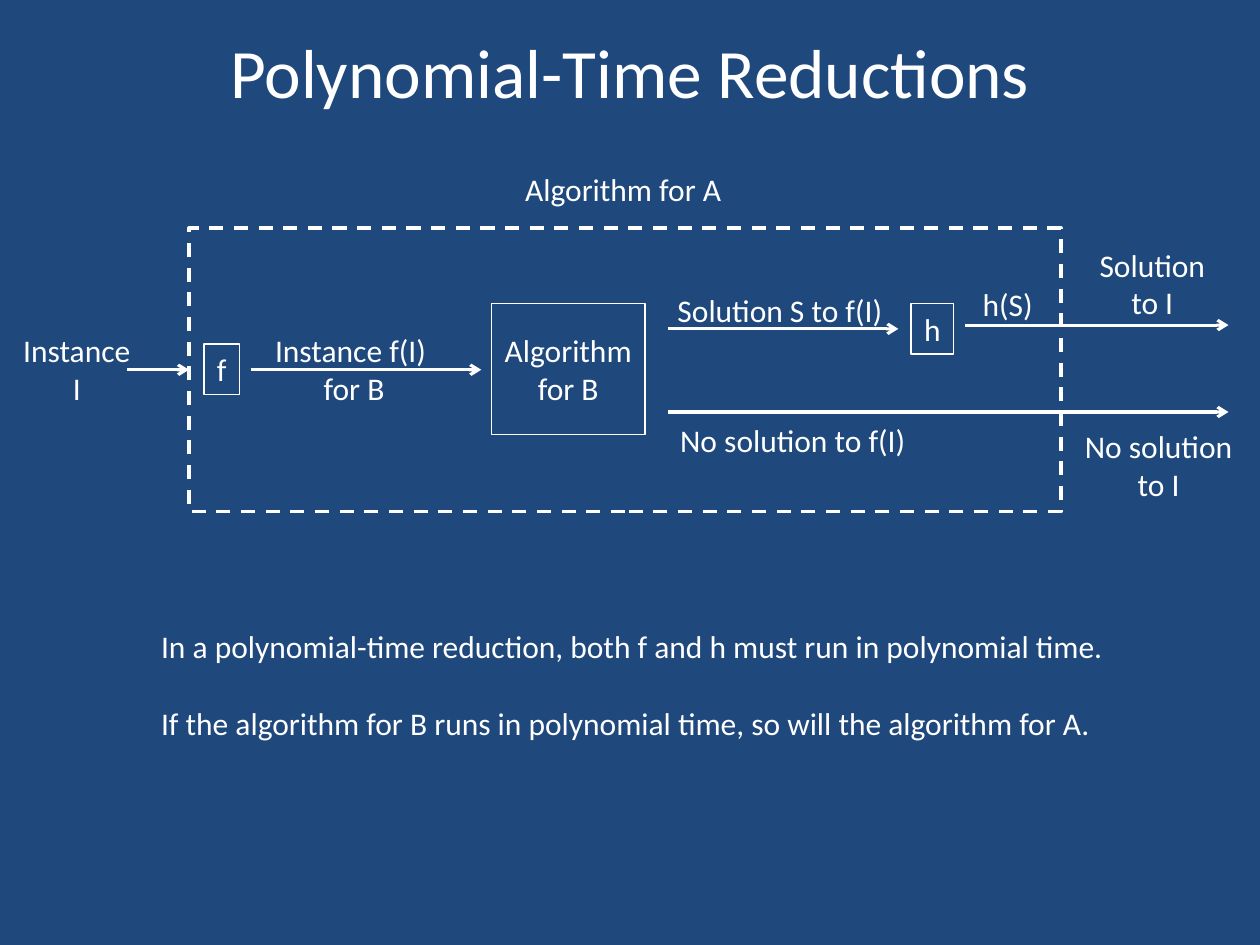
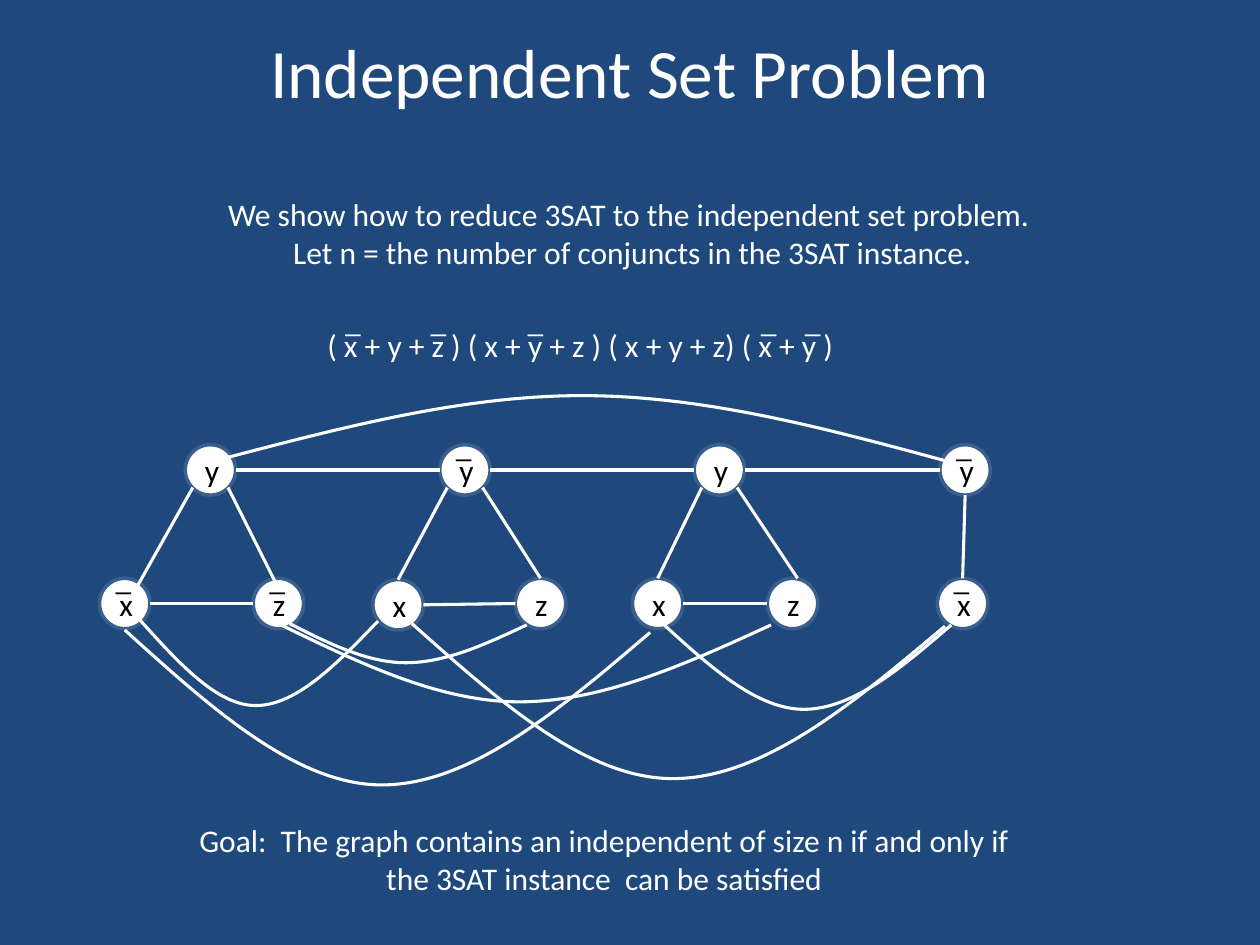
from dataclasses import dataclass
from itertools import pairwise

from lxml.etree import SubElement
from pptx import Presentation
from pptx.dml.color import RGBColor
from pptx.enum.dml import MSO_LINE
from pptx.enum.shapes import MSO_CONNECTOR, MSO_SHAPE
from pptx.enum.text import MSO_ANCHOR as Anchor, PP_ALIGN as Align
from pptx.oxml.ns import qn
from pptx.util import Inches, Pt

NAVY, WHITE, BLACK, RIM = "1F497D", "FFFFFF", "000000", "3A5F8C"
FONT = "Calibri"
BODY_SIZE = 18
TITLE_SIZE = 39.6
LINE_WIDTH = 1.75
TITLE_ONLY = 5
NODE_RADIUS = 0.2
UPPER_Y, LOWER_Y = 3.73, 4.79


@dataclass(frozen=True)
class Label:
    text: str
    left: float
    top: float
    width: float
    height: float
    align: Align = Align.CENTER
    wrap: bool = False
    gap: float = 0


@dataclass(frozen=True)
class Box:
    text: str
    left: float
    top: float
    width: float
    height: float
    anchor: Anchor = Anchor.TOP


@dataclass(frozen=True)
class Arrow:
    start: float
    end: float
    y: float
    head: bool = True


@dataclass(frozen=True)
class Node:
    literal: str
    x: float
    y: float
    negated: bool = False


@dataclass(frozen=True)
class Arc:
    start: tuple[float, float]
    turn: tuple[float, float]
    end: tuple[float, float]


ALGORITHM_A = Box("", 1.5, 1.81, 6.92, 2.25)
INSTANCE_Y = ALGORITHM_A.top + ALGORITHM_A.height / 2
STEP_LABELS = [
    Label("Instance f(I) \nfor B", 1.92, 2.58, 1.78, 0.71, wrap=True),
    Label("Solution S to f(I)", 5.24, 2.26, 1.9, 0.71, wrap=True),
    Label("Instance\nI", 0.08, 2.58, 1.06, 0.71),
    Label("Solution\nto I", 8.62, 1.9, 1.05, 0.71),
    Label("No solution\vto I", 8.5, 3.34, 1.39, 0.71),
    Label("Algorithm for A", 4.07, 1.3, 1.77, 0.4, Align.LEFT),
    Label("No solution to f(I)", 5.3, 3.29, 2.01, 0.4, Align.LEFT),
    Label("h(S)", 7.7, 2.21, 0.61, 0.4, Align.LEFT),
    Label("In a polynomial-time reduction, both f and h must run in polynomial time.\n"
          "If the algorithm for B runs in polynomial time, so will the algorithm for A.",
          1.18, 4.93, 7.78, 1.31, Align.LEFT, gap=22),
]
STEP_BOXES = [
    Box("Algorithm\vfor B", 3.9, 2.41, 1.22, 1.04, Anchor.MIDDLE),
    Box("f", 1.62, 2.73, 0.28, 0.4),
    Box("h", 7.23, 2.41, 0.34, 0.4),
]
STEP_ARROWS = [
    Arrow(1.99, 3.82, INSTANCE_Y),
    Arrow(5.3, 7.13, 2.61),
    Arrow(5.3, 8.42, 3.27, head=False),
    Arrow(8.42, 9.75, 3.27),
    Arrow(7.66, 8.42, 2.58, head=False),
    Arrow(8.42, 9.75, 2.58),
]

SET_LABELS = [
    Label("We show how to reduce 3SAT to the independent set problem. \n"
          "Let n = the number of conjuncts in the 3SAT instance.",
          0.23, 1.5, 9.58, 0.71, wrap=True),
    Label("Goal:  The graph contains an independent of size n if and only if\v"
          "the 3SAT instance  can be satisfied", 0.67, 6.47, 8.25, 0.71, wrap=True),
]
FORMULA = Label("( x + y + z ) ( x + y + z ) ( x + y + z) ( x + y )",
                2.5, 2.54, 4.36, 0.71, Align.LEFT)
FORMULA_Y = 2.74
NEGATED_X = [2.81, 3.49, 4.26, 6.11, 6.46]

UPPER_NODES = [
    Node("y", 1.67, UPPER_Y),
    Node("y", 3.69, UPPER_Y, negated=True),
    Node("y", 5.71, UPPER_Y),
    Node("y", 7.66, UPPER_Y, negated=True),
]
LOWER_NODES = [
    Node("x", 0.99, LOWER_Y, negated=True),
    Node("z", 2.21, LOWER_Y, negated=True),
    Node("x", 3.16, 4.8),
    Node("z", 4.29, LOWER_Y),
    Node("x", 5.22, LOWER_Y),
    Node("z", 6.29, LOWER_Y),
    Node("x", 7.64, LOWER_Y, negated=True),
]
CLAUSE_SIDES = [
    ((1.08, 4.67), (1.53, 3.87)),
    ((2.21, 4.67), (1.81, 3.87)),
    ((3.16, 4.6), (3.55, 3.87)),
    ((4.29, 4.59), (3.83, 3.87)),
    ((5.22, 4.59), (5.57, 3.87)),
    ((6.33, 4.59), (5.85, 3.87)),
    ((7.64, 4.59), (7.66, 3.93)),
]
CONFLICT_ARCS = [
    Arc((1.81, 3.63), (4.62, 3.14), (7.55, 3.67)),
    Arc((2.3, 4.95), (3.22, 5.26), (4.18, 4.96)),
    Arc((2.21, 4.95), (4.12, 5.57), (6.12, 4.96)),
    Arc((1.11, 4.92), (2.03, 5.6), (3, 4.93)),
    Arc((5.26, 4.95), (6.38, 5.63), (7.55, 4.96)),
    Arc((0.99, 5), (3.03, 6.23), (5.16, 5.02)),
    Arc((3.27, 4.95), (5.34, 6.18), (7.5, 4.97)),
]


def rgb(value: str) -> RGBColor:
    return RGBColor.from_string(value)


def write(frame, text: str, *, size: float = BODY_SIZE, color: str = WHITE,
          align: Align = Align.CENTER, anchor: Anchor = Anchor.TOP,
          wrap: bool = False, gap: float = 0) -> None:
    frame.word_wrap = wrap
    frame.vertical_anchor = anchor
    for index, line in enumerate(text.split("\n")):
        paragraph = frame.add_paragraph() if index else frame.paragraphs[0]
        paragraph.text = line
        paragraph.alignment = align
        if index and gap:
            paragraph.space_before = Pt(gap)
        for run in paragraph.runs:
            run.font.name = FONT
            run.font.size = Pt(size)
            run.font.color.rgb = rgb(color)


def add_titled_slide(deck, heading: str):
    slide = deck.slides.add_slide(deck.slide_layouts[TITLE_ONLY])
    title = slide.shapes.title
    title.left, title.top = Inches(0.5), Inches(0.17)
    title.width, title.height = Inches(9), Inches(0.78)
    write(title.text_frame, heading, size=TITLE_SIZE, anchor=Anchor.MIDDLE, wrap=True)
    return slide


def add_label(shapes, label: Label, color: str = WHITE) -> None:
    area = shapes.add_textbox(Inches(label.left), Inches(label.top),
                              Inches(label.width), Inches(label.height))
    write(area.text_frame, label.text, color=color, align=label.align,
          wrap=label.wrap, gap=label.gap)


def set_outline(shape, color: str = WHITE, width: float = LINE_WIDTH) -> None:
    shape.line.color.rgb = rgb(color)
    shape.line.width = Pt(width)


def add_box(shapes, box: Box, width: float = 0.75):
    frame = shapes.add_shape(MSO_SHAPE.RECTANGLE, Inches(box.left), Inches(box.top),
                             Inches(box.width), Inches(box.height))
    frame.shadow.inherit = False
    frame.fill.background()
    set_outline(frame, width=width)
    if box.text:
        write(frame.text_frame, box.text, anchor=box.anchor)
    return frame


def add_line(shapes, start: tuple[float, float], end: tuple[float, float],
             head: bool = False):
    line = shapes.add_connector(MSO_CONNECTOR.STRAIGHT,
                                *map(Inches, start), *map(Inches, end))
    set_outline(line)
    properties = line.element.spPr
    if head:
        SubElement(properties.find(qn("a:ln")), qn("a:tailEnd"), type="arrow")
    SubElement(properties, qn("a:effectLst"))
    return line


def add_overbar(shapes, x: float, y: float, color: str) -> None:
    add_label(shapes, Label("_", x - 0.17, y - 0.4, 0.33, 0.4, Align.LEFT), color)


def add_node(shapes, node: Node) -> None:
    holder = shapes.add_group_shape().shapes if node.negated else shapes
    circle = holder.add_shape(
        MSO_SHAPE.OVAL, Inches(node.x - NODE_RADIUS), Inches(node.y - NODE_RADIUS),
        Inches(2 * NODE_RADIUS), Inches(2 * NODE_RADIUS))
    circle.shadow.inherit = False
    circle.fill.solid()
    circle.fill.fore_color.rgb = rgb(WHITE)
    set_outline(circle, RIM, 2)
    write(circle.text_frame, node.literal, color=BLACK, anchor=Anchor.MIDDLE, wrap=True)
    if node.negated:
        add_overbar(holder, node.x, node.y, BLACK)


def add_arc(shapes, arc: Arc) -> None:
    start, turn, end = (tuple(map(Inches, point)) for point in (arc.start, arc.turn, arc.end))
    builder = shapes.build_freeform(*start)
    builder.add_line_segments([turn, end], close=False)
    curve = builder.convert_to_shape()
    curve.shadow.inherit = False
    curve.fill.background()
    set_outline(curve)
    outline = curve.element.find(".//" + qn("a:path"))
    (x0, y0), (x1, y1), (x2, y2) = [(int(point.get("x")), int(point.get("y")))
                                    for point in outline.iter(qn("a:pt"))]
    for segment in outline.findall(qn("a:lnTo")):
        outline.remove(segment)
    rise = [((2 * x0 + x1) // 3, (y0 + y1) // 2), ((x0 + 2 * x1) // 3, y1), (x1, y1)]
    fall = [((2 * x1 + x2) // 3, y1), ((x1 + 2 * x2) // 3, (y1 + y2) // 2), (x2, y2)]
    for points in (rise, fall):
        bezier = SubElement(outline, qn("a:cubicBezTo"))
        for x, y in points:
            SubElement(bezier, qn("a:pt"), x=str(x), y=str(y))


def build_reductions(deck) -> None:
    shapes = add_titled_slide(deck, "Polynomial-Time Reductions").shapes
    for box in STEP_BOXES:
        add_box(shapes, box)
    algorithm_a = add_box(shapes, ALGORITHM_A, width=2)
    algorithm_a.line.dash_style = MSO_LINE.DASH
    for arrow in STEP_ARROWS:
        add_line(shapes, (arrow.start, arrow.y), (arrow.end, arrow.y), arrow.head)
    instance_arrow = add_line(shapes, (1.01, INSTANCE_Y), (ALGORITHM_A.left, INSTANCE_Y),
                              head=True)
    instance_arrow.end_connect(algorithm_a, 1)
    for label in STEP_LABELS:
        add_label(shapes, label)


def build_independent_set(deck) -> None:
    shapes = add_titled_slide(deck, "Independent Set Problem").shapes
    for label in SET_LABELS:
        add_label(shapes, label)
    formula = shapes.add_group_shape().shapes
    add_label(formula, FORMULA)
    for x in NEGATED_X:
        add_overbar(formula, x, FORMULA_Y, WHITE)
    for node in LOWER_NODES + UPPER_NODES:
        add_node(shapes, node)
    clause_bases = list(zip(LOWER_NODES[0:6:2], LOWER_NODES[1:6:2]))
    for left, right in clause_bases + list(pairwise(UPPER_NODES)):
        add_line(shapes, (left.x + NODE_RADIUS, left.y), (right.x - NODE_RADIUS, right.y))
    for start, end in CLAUSE_SIDES:
        add_line(shapes, start, end)
    for arc in CONFLICT_ARCS:
        add_arc(shapes, arc)


def main() -> None:
    deck = Presentation()
    deck.slide_width, deck.slide_height = Inches(10), Inches(7.5)
    backdrop = deck.slide_master.background.fill
    backdrop.solid()
    backdrop.fore_color.rgb = rgb(NAVY)
    build_reductions(deck)
    build_independent_set(deck)
    deck.save("out.pptx")


if __name__ == "__main__":
    main()
